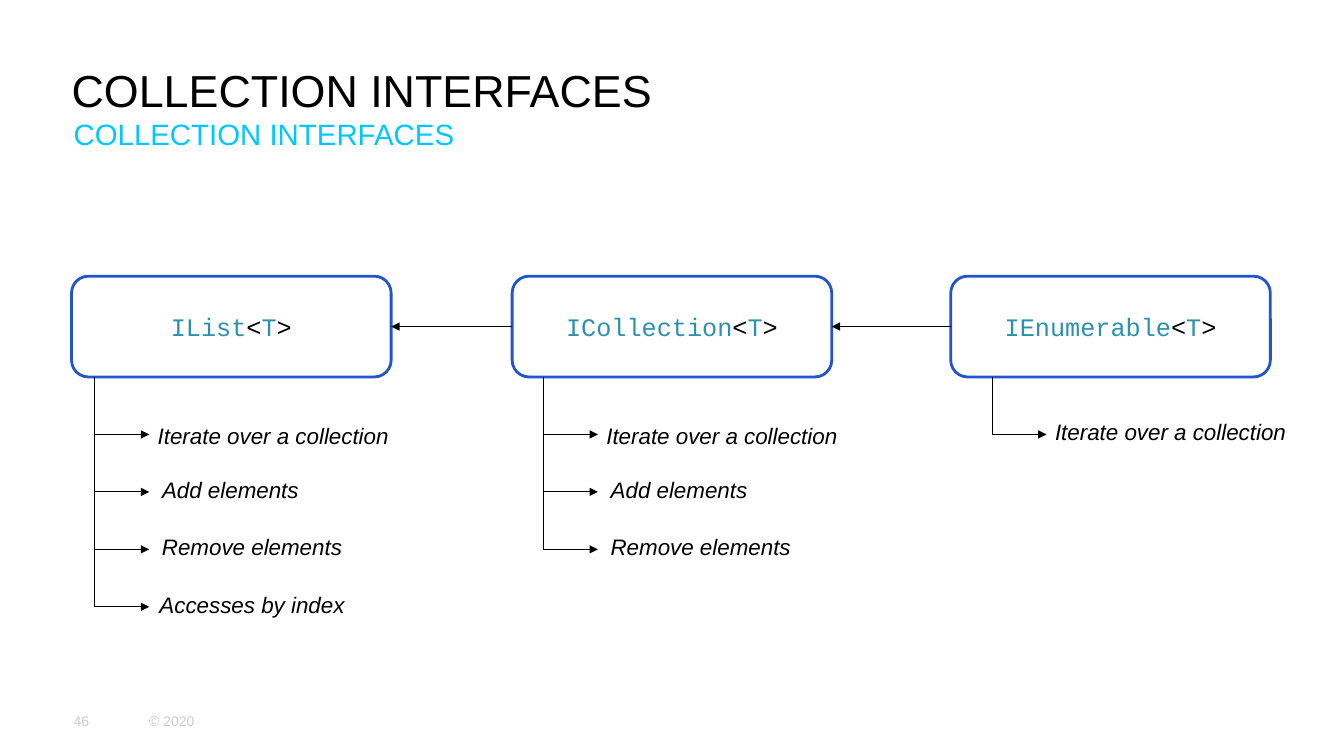
from lxml import etree
from pptx import Presentation
from pptx.dml.color import RGBColor
from pptx.enum.shapes import MSO_CONNECTOR, MSO_SHAPE
from pptx.enum.text import MSO_ANCHOR, MSO_AUTO_SIZE, PP_ALIGN
from pptx.oxml.ns import qn
from pptx.util import Inches, Pt

TITLE = "COLLECTION INTERFACES"
SUB = "COLLECTION INTERFACES"
FOOTER = [("46", 0.73, 0.74), ("© 2020", 1.48, 1.08)]
LABELS = [
    ("Iterate over a collection", 0.61, 2.32, 0.04),
    ("Add elements", 0.59, 1.51, 0),
    ("Remove elements", 0.59, 1.94, 0),
    ("Accesses by index", 0.59, 1.94, 0),
]
TYPES = [
    ("IList", 0.71, 4, 0),
    ("ICollection", 5.08, 3, 0),
    ("IEnumerable", 9.43, 1, -0.04),
]

BLACK = RGBColor(0, 0, 0)
WHITE = RGBColor(255, 255, 255)
BLUE = RGBColor(0x21, 0x55, 0xCD)
TEAL = RGBColor(0x2B, 0x91, 0xAF)
CYAN = RGBColor(0x00, 0xC8, 0xFF)
GREY = RGBColor(0xCC, 0xCC, 0xCC)

LEFT, CENTER = PP_ALIGN.LEFT, PP_ALIGN.CENTER
TOP, MIDDLE, BOTTOM = MSO_ANCHOR.TOP, MSO_ANCHOR.MIDDLE, MSO_ANCHOR.BOTTOM
STRAIGHT = MSO_CONNECTOR.STRAIGHT
ROUNDED = MSO_SHAPE.ROUNDED_RECTANGLE

BOX_TOP, BOX_W, BOX_H = 2.74, 3.17, 1
STEM, PITCH = 0.94, 4.45
ROW, ARM = 0.57, 0.54
TEXT_H = 0.32

deck = Presentation()
deck.slide_width, deck.slide_height = Inches(13.33), Inches(7.5)
slide = deck.slides.add_slide(deck.slide_layouts[1])
shapes = slide.shapes


def place(shape, *spot):
    shape.left, shape.top, shape.width, shape.height = map(Inches, spot)


def style(run, size, color, font="Arial", italic=False):
    run.font.name, run.font.size = font, Pt(size)
    run.font.color.rgb, run.font.italic = color, italic


def write(shape, text, size, color, anchor, align=LEFT, wrap=True, italic=False):
    frame = shape.text_frame
    frame.text = text
    frame.auto_size = MSO_AUTO_SIZE.NONE
    frame.word_wrap, frame.vertical_anchor = wrap, anchor
    frame.margin_left = frame.margin_right = 0
    frame.margin_top = frame.margin_bottom = 0
    para = frame.paragraphs[0]
    para.alignment, para.space_before = align, Pt(0)
    style(para.runs[0], size, color, italic=italic)
    return para


def label(text, spot, *look):
    box = shapes.add_textbox(*map(Inches, spot))
    write(box, text, *look)


def link(x1, y1, x2, y2, arrow=True):
    line = shapes.add_connector(STRAIGHT, *map(Inches, (x1, y1, x2, y2)))
    line.line.color.rgb, line.line.width = BLACK, Pt(0.75)
    props = line.element.spPr
    if arrow:
        etree.SubElement(props.find(qn("a:ln")), qn("a:tailEnd"), type="triangle")
    etree.SubElement(props, qn("a:effectLst"))
    return line


def card(name, x):
    box = shapes.add_shape(ROUNDED, *map(Inches, (x, BOX_TOP, BOX_W, BOX_H)))
    box.shadow.inherit = False
    box.fill.solid()
    box.fill.fore_color.rgb = WHITE
    box.line.color.rgb, box.line.width = BLUE, Pt(2)
    box.text_frame.vertical_anchor = MIDDLE
    para = box.text_frame.paragraphs[0]
    para.alignment = CENTER
    for text, color in ((name, TEAL), ("<", BLACK), ("T", TEAL), (">", BLACK)):
        run = para.add_run()
        run.text = text
        style(run, 18, color, "Courier New")
    return box


title, body = slide.placeholders
place(title, 0.71, 0.01, 11.9, 1.15)
write(title, TITLE, 32, BLACK, BOTTOM)
place(body, 0.73, 1.15, 11.87, 0.44)
para = write(body, SUB, 21, CYAN, TOP)
props = para._p.get_or_add_pPr()
props.set("marL", "0")
props.set("indent", "0")
etree.SubElement(props, qn("a:buNone"))

for text, x, width in FOOTER:
    label(text, (x, 6.95, width, 0.4), 10, GREY, MIDDLE)

cards = [card(name, x) for name, x, _, _ in TYPES]
for child, base in zip(cards, cards[1:]):
    arrow = link(0, 0, 1, 1)
    arrow.begin_connect(base, 1)
    arrow.end_connect(child, 3)

for col, (_, _, count, shift) in enumerate(TYPES):
    x = STEM + col * PITCH
    for row, (text, gap, width, drop) in enumerate(LABELS[:count]):
        start = BOX_TOP + BOX_H + row * ROW
        y = start + ROW
        link(x, start, x, y, arrow=False)
        link(x, y, x + ARM, y)
        spot = (x + gap, y - TEXT_H / 2 + drop + shift, width, TEXT_H)
        label(text, spot, 16, BLACK, TOP, CENTER, False, True)

deck.save("out.pptx")
